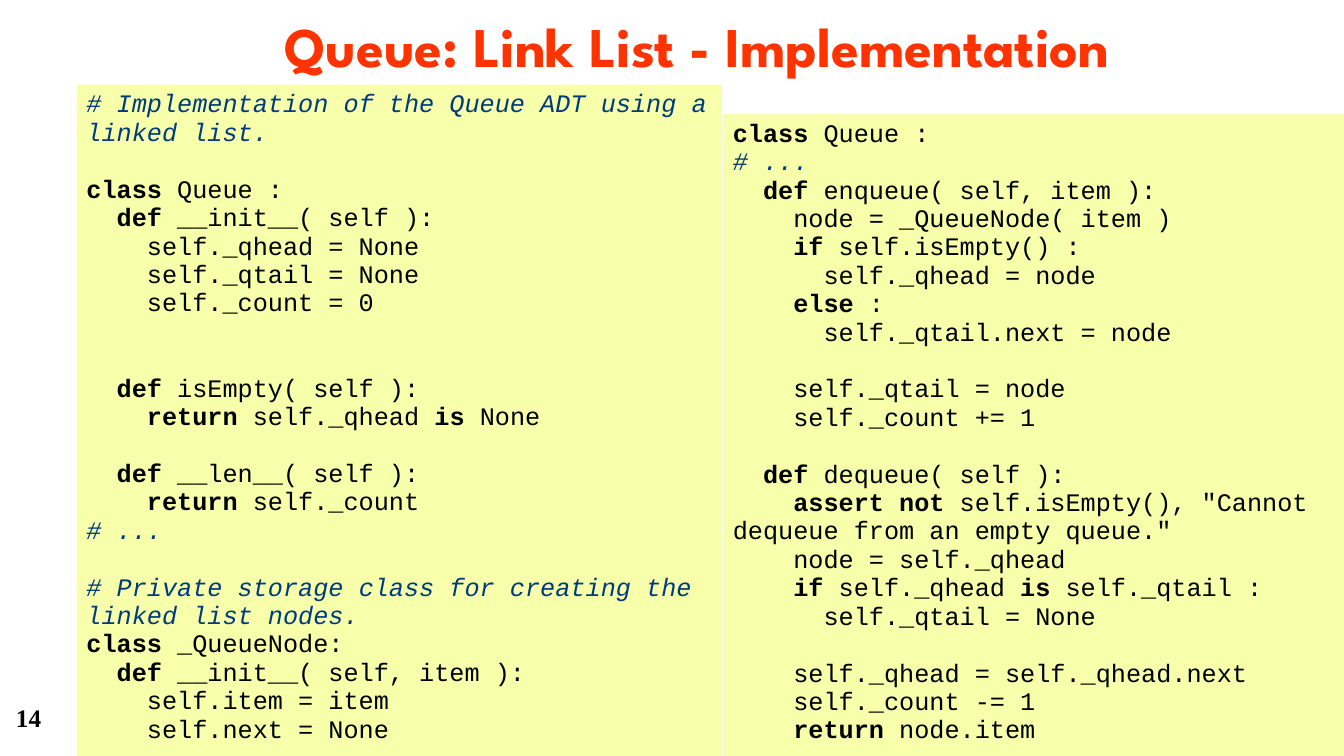
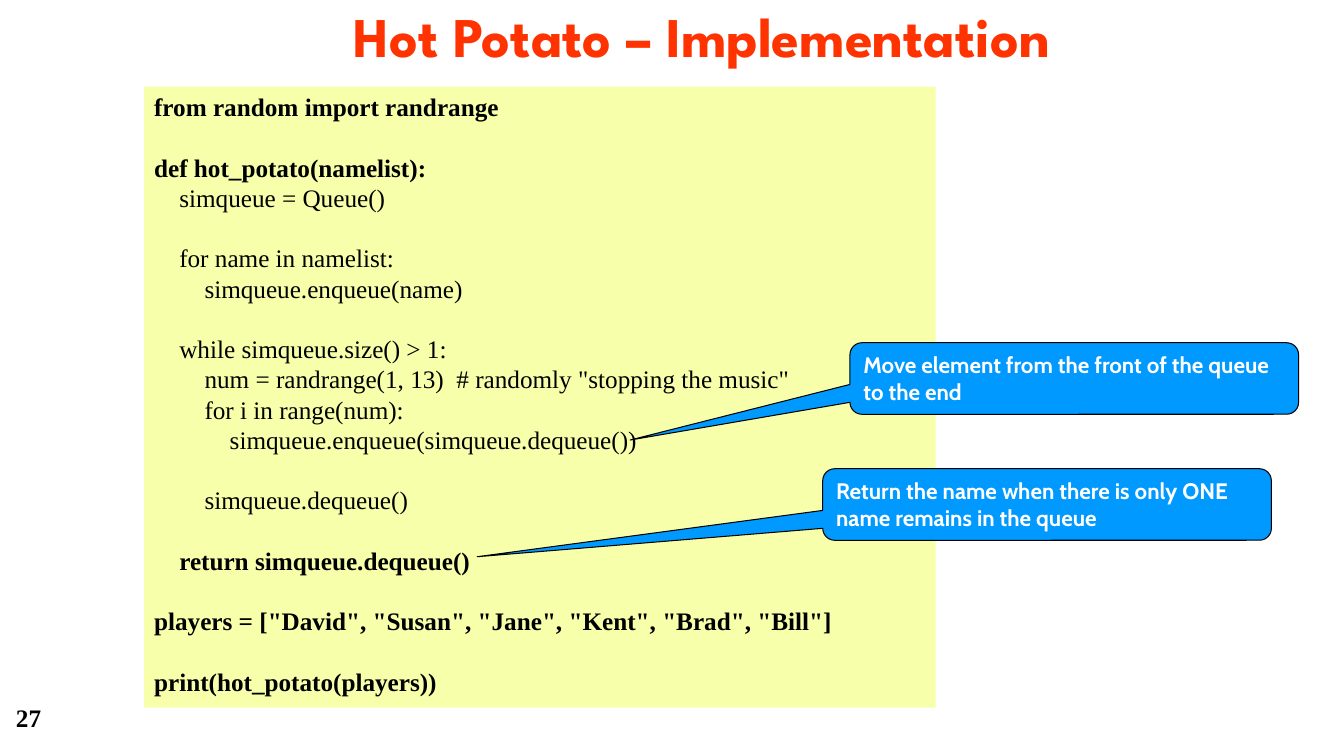
"""Build two slides of Python queue code with titles, page numbers and callouts."""
from pptx import Presentation
from pptx.dml.color import RGBColor
from pptx.enum.shapes import MSO_SHAPE as SHAPE
from pptx.enum.text import MSO_ANCHOR as ANCHOR, PP_ALIGN as ALIGN
from pptx.util import Inches, Pt

BLACK, WHITE = "000000", "FFFFFF"
RED, NAVY, BLUE, YELLOW = "FF3300", "003B7C", "0099FF", "F7FFAB"
SERIF = "Times New Roman"
MONO_STYLE = {"font": "Courier New", "pitch": 20.3, "space_width": 0.15}
SERIF_STYLE = {"font": SERIF, "pitch": 21.6, "space_width": 0.0625}

QUEUE_CLASS = """\
# Implementation of the Queue ADT using a linked list.

*class* Queue :
  *def* __init__( self ):
    self._qhead = None
    self._qtail = None
    self._count = 0


  *def* isEmpty( self ):
    *return* self._qhead *is* None

  *def* __len__( self ):
    *return* self._count
# ...

# Private storage class for creating the linked list nodes.
*class* _QueueNode:
  *def* __init__( self, item ):
    self.item = item
    self.next = None"""

QUEUE_METHODS = """\
*class* Queue :
# ...
  *def* enqueue( self, item ):
    node = _QueueNode( item )
    *if* self.isEmpty() :
      self._qhead = node
    *else* :
      self._qtail.next = node

    self._qtail = node
    self._count += 1

  *def* dequeue( self ):
    *assert not* self.isEmpty(), "Cannot dequeue from an empty queue."
    node = self._qhead
    *if* self._qhead *is* self._qtail :
      self._qtail = None

    self._qhead = self._qhead.next
    self._count -= 1
    *return* node.item"""

HOT_POTATO = """\
*from random import randrange*

*def hot_potato(namelist):*
    simqueue = Queue()

    for name in namelist:
        simqueue.enqueue(name)

    while simqueue.size() > 1:
        num = randrange(1, 13)  # randomly "stopping the music"
        for i in range(num):
            simqueue.enqueue(simqueue.dequeue())

        simqueue.dequeue()

    *return simqueue.dequeue()*

*players = ["David", "Susan", "Jane", "Kent", "Brad", "Bill"]*

*print(hot_potato(players))*"""


def rgb(color):
    """Turn a hex string into a colour."""
    return RGBColor.from_string(color)


def add_run(p, text, font, size, color, bold=True, italic=False):
    """Append one formatted run to a paragraph."""
    r = p.add_run()
    r.text = text
    r.font.name, r.font.size = font, Pt(size)
    r.font.bold, r.font.italic = bold, italic
    r.font.color.rgb = rgb(color)


def add_text(s, box, text, font, size, color):
    """Add a one-line text box and return its frame."""
    tf = s.shapes.add_textbox(*map(Inches, box)).text_frame
    tf.word_wrap = True
    add_run(tf.paragraphs[0], text, font, size, color)
    return tf


def add_title(s, text, left, top, width):
    """Add the centred slide title."""
    tf = add_text(s, (left, top, width, 0.69), text, "League Spartan", 40, RED)
    tf.margin_left = tf.margin_right = tf.margin_bottom = 0
    tf.margin_top = Inches(0.01)
    tf.vertical_anchor = ANCHOR.MIDDLE
    tf.paragraphs[0].alignment = ALIGN.CENTER


def add_page_number(s, number):
    """Add the page number in the lower left corner."""
    add_text(s, (0.06, 6.92, 2.78, 0.5), str(number), SERIF, 18, BLACK)


def add_panel(s, kind, box, fill):
    """Add a filled shape with top-left text and no outline."""
    sp = s.shapes.add_shape(kind, *map(Inches, box))
    sp.shadow.inherit = False
    sp.fill.solid()
    sp.fill.fore_color.rgb = rgb(fill)
    sp.line.fill.background()
    sp.text_frame.word_wrap = True
    sp.text_frame.vertical_anchor = ANCHOR.TOP
    sp.text_frame.paragraphs[0].alignment = ALIGN.LEFT
    return sp


def add_code(s, box, code, font, pitch, space_width):
    """Add a code panel; stars mark bold, empty lines become spacing."""
    tf = add_panel(s, SHAPE.RECTANGLE, box, YELLOW).text_frame
    p, gap = tf.paragraphs[0], 0
    for number, line in enumerate(code.splitlines()):
        if not line:
            gap += 1
            continue
        if number:
            p = tf.add_paragraph()
        text = line.lstrip()
        p.alignment = ALIGN.LEFT
        p.line_spacing = Pt(pitch)
        p.space_before = Pt(gap * pitch)
        indent = Inches((len(line) - len(text)) * space_width)
        p._p.get_or_add_pPr().set("indent", str(indent))
        comment = text.startswith("#")
        color = NAVY if comment else BLACK
        for i, part in enumerate(text.split("*")):
            if part:
                add_run(p, part, font, 18, color, i % 2 == 1, comment)
        gap = 0


def add_callout(s, left, top, text, tip_x, tip_y):
    """Add a blue callout whose tip is offset relative to its size."""
    sp = add_panel(s, SHAPE.ROUNDED_RECTANGULAR_CALLOUT, (left, top, 4.45, 0.71), BLUE)
    for i, value in enumerate((tip_x, tip_y, 0.167)):
        sp.adjustments[i] = value
    sp.line.color.rgb = rgb(BLACK)
    sp.line.width = Pt(0.75)
    add_run(sp.text_frame.paragraphs[0], text, "Cabin", 16, WHITE)


def build_queue_slide(s):
    """Fill the linked list queue slide."""
    add_page_number(s, 14)
    add_code(s, (0.76, 0.84, 6.4, 6.66), QUEUE_CLASS, **MONO_STYLE)
    add_code(s, (7.17, 1.13, 6.17, 6.37), QUEUE_METHODS, **MONO_STYLE)
    add_title(s, "Queue: Link List - Implementation", 2.2, 0.1, 9.43)


def build_potato_slide(s):
    """Fill the hot potato slide."""
    add_title(s, "Hot Potato – Implementation", 0.59, 0, 12.74)
    add_page_number(s, 27)
    add_code(s, (1.43, 0.86, 7.85, 6.16), HOT_POTATO, **SERIF_STYLE)
    add_callout(s, 8.43, 3.4, "Move element from the front of the queue to the end", -0.99, 0.86)
    add_callout(s, 8.16, 4.65, "Return the name when there is only ONE name remains in the queue",
                -1.27, 0.73)


def main():
    """Build and save the presentation."""
    prs = Presentation()
    prs.slide_width, prs.slide_height = Inches(13.33), Inches(7.5)
    for build in (build_queue_slide, build_potato_slide):
        build(prs.slides.add_slide(prs.slide_layouts[6]))
    prs.save("out.pptx")


if __name__ == "__main__":
    main()
